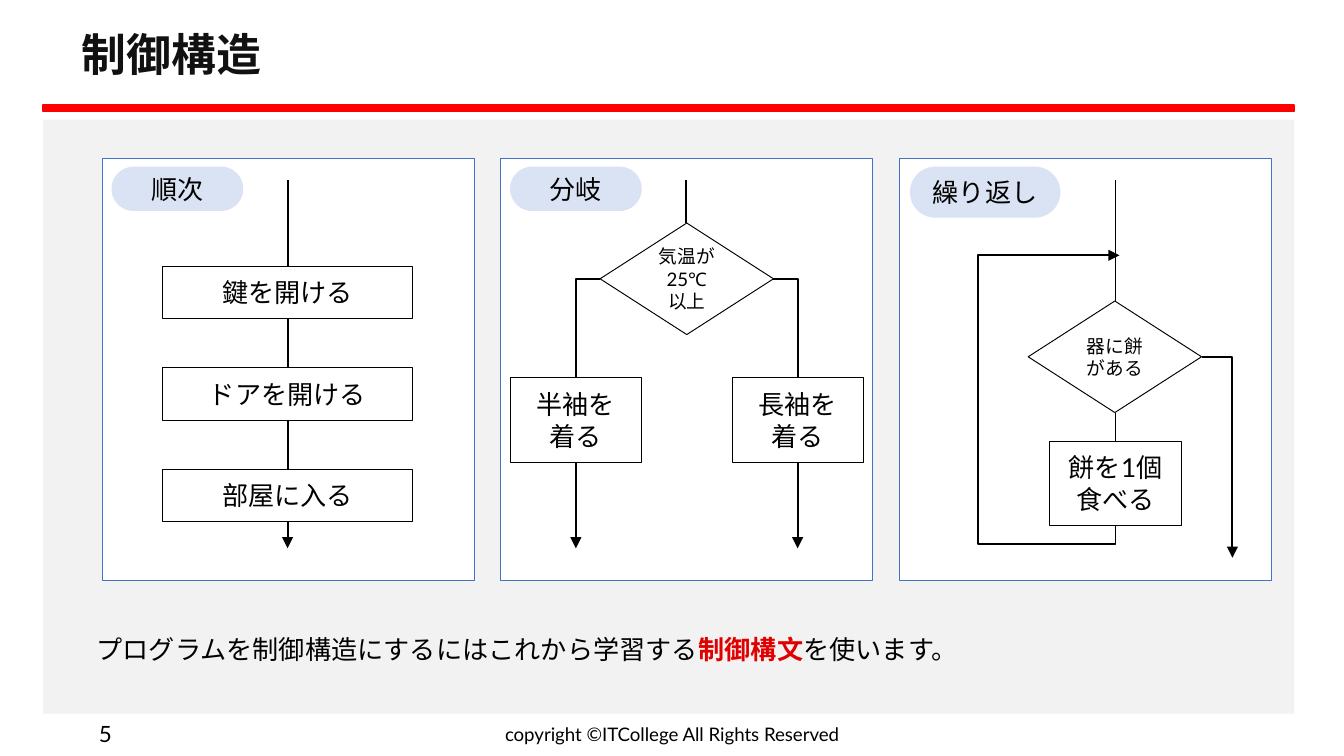
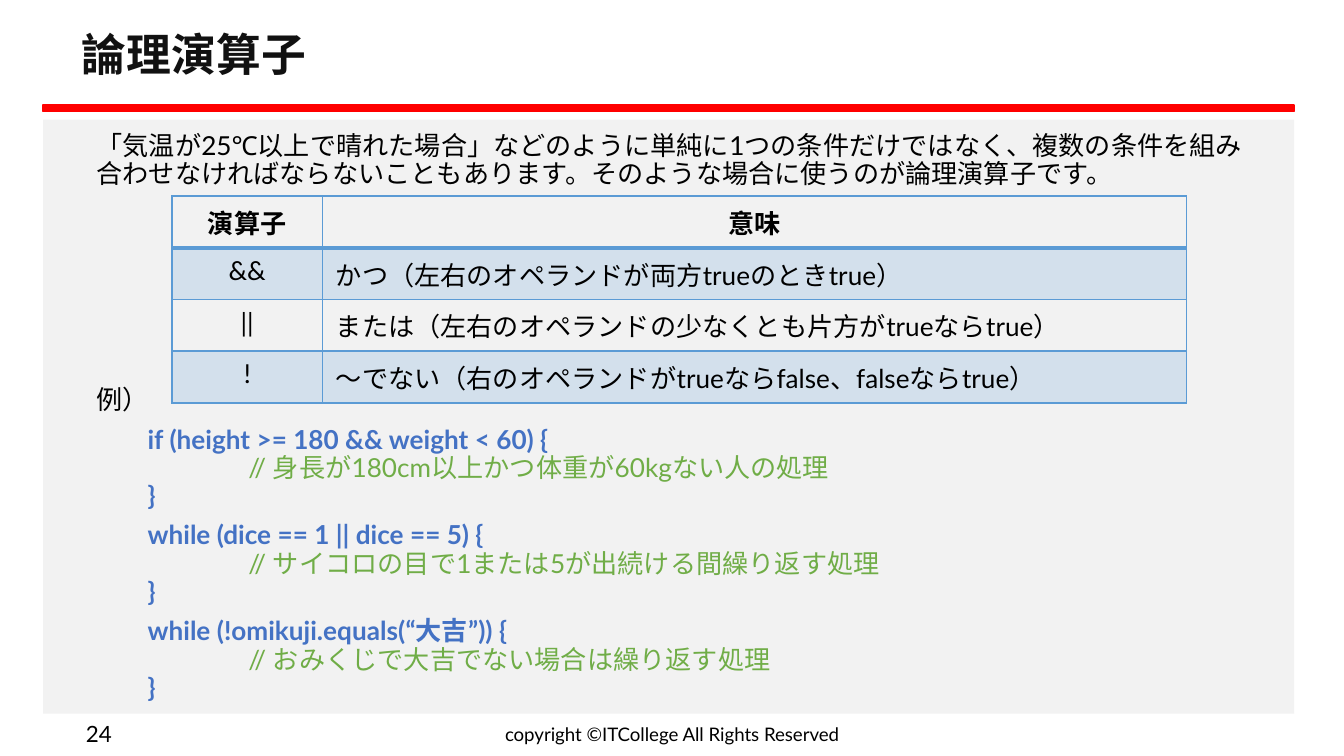
import pptx
import pptx.dml.color
import pptx.enum.shapes
import pptx.enum.text
import pptx.oxml.ns
import pptx.util
from lxml import etree

Inches = pptx.util.Inches
Pt = pptx.util.Pt
RGBColor = pptx.dml.color.RGBColor
SHAPE = pptx.enum.shapes.MSO_SHAPE
CONNECTOR = pptx.enum.shapes.MSO_CONNECTOR
ALIGN = pptx.enum.text.PP_ALIGN
ANCHOR = pptx.enum.text.MSO_ANCHOR
qn = pptx.oxml.ns.qn

FONT = "Lato"
BLACK = RGBColor(0x00, 0x00, 0x00)
WHITE = RGBColor(0xFF, 0xFF, 0xFF)
INK = RGBColor(0x11, 0x11, 0x11)
RED = RGBColor(0xFF, 0x00, 0x00)
ACCENT = RGBColor(0xE1, 0x00, 0x00)
GREY = RGBColor(0xF2, 0xF2, 0xF2)
BLUE = RGBColor(0x44, 0x72, 0xC4)
PALE_BLUE = RGBColor(0xDA, 0xE3, 0xF3)
TABLE_BLUE = RGBColor(0x5B, 0x9B, 0xD5)
GREEN = RGBColor(0x70, 0xAD, 0x47)

TOP, LEFT, RIGHT = 0, 1, 3


def add_text(p, text, size=14, color=BLACK, bold=False, east_asian=True):
    for i, part in enumerate(text.split("\n")):
        if i:
            p.add_line_break()
        if not part:
            continue
        r = p.add_run()
        r.text = part
        r.font.size = Pt(size)
        r.font.bold = bold
        r.font.color.rgb = color
        r.font.name = FONT
        if east_asian:
            etree.SubElement(r.font._element, qn("a:ea"), typeface=FONT)


def add_box(slide, kind, x, y, w, h, fill, line=None, width=0.25):
    sp = slide.shapes.add_shape(kind, Inches(x), Inches(y), Inches(w), Inches(h))
    sp.shadow.inherit = False
    sp.fill.solid()
    sp.fill.fore_color.rgb = fill
    if line is None:
        sp.line.fill.background()
    else:
        sp.line.color.rgb = line
        sp.line.width = Pt(width)
    return sp


def add_label(sp, *lines, size=14):
    tf = sp.text_frame
    tf.word_wrap = True
    tf.vertical_anchor = ANCHOR.MIDDLE
    for i, line in enumerate(lines):
        p = tf.add_paragraph() if i else tf.paragraphs[0]
        p.alignment = ALIGN.CENTER
        add_text(p, line, size)


def add_textbox(slide, x, y, w, h):
    sp = slide.shapes.add_textbox(Inches(x), Inches(y), Inches(w), Inches(h))
    sp.text_frame.word_wrap = True
    return sp.text_frame


def format_paragraph(p, indent, space=0):
    pPr = p._p.get_or_add_pPr()
    pPr.set("marL", str(Inches(indent)))
    pPr.set("indent", "0")
    pPr.set("defTabSz", str(Inches(0.75)))
    p.line_spacing = 0.9
    p.space_before = Pt(space)


def format_line(sp, arrow):
    sp.line.color.rgb = BLACK
    sp.line.width = Pt(1)
    if arrow:
        ln = sp.element.spPr.find(qn("a:ln"))
        etree.SubElement(ln, qn("a:tailEnd"), type="triangle")


def add_link(slide, x1, y1, x2, y2, arrow=False, bent=False):
    kind = CONNECTOR.ELBOW if bent else CONNECTOR.STRAIGHT
    sp = slide.shapes.add_connector(kind, Inches(x1), Inches(y1), Inches(x2), Inches(y2))
    format_line(sp, arrow)
    spPr = sp.element.spPr
    etree.SubElement(spPr, qn("a:effectLst"))
    if bent:
        spPr.find(qn("a:prstGeom")).set("prst", "bentConnector2")
    return sp


def add_process(slide, x, y, w, h, *lines):
    sp = add_box(slide, SHAPE.FLOWCHART_PROCESS, x, y, w, h, WHITE, BLACK)
    add_label(sp, *lines)
    return sp


def add_decision(slide, x, y, text):
    sp = add_box(slide, SHAPE.FLOWCHART_DECISION, x, y, 1.29, 0.83, WHITE, BLACK, 0.5)
    add_label(sp, text, size=10)
    return sp


def add_slide(prs, title, number):
    slide = prs.slides.add_slide(prs.slide_layouts[5])
    add_box(slide, SHAPE.RECTANGLE, 0.32, 0.89, 9.31, 4.42, GREY)
    add_box(slide, SHAPE.RECTANGLE, 0.32, 0.78, 9.31, 0.05, RED, RED, 1)

    sp = slide.shapes.title
    sp.left, sp.top, sp.width, sp.height = Inches(0.51), Inches(0.13), Inches(8.99), Inches(0.59)
    tf = sp.text_frame
    tf.auto_size = pptx.enum.text.MSO_AUTO_SIZE.NONE
    tf.vertical_anchor = ANCHOR.MIDDLE
    tf.margin_left = tf.margin_top = tf.margin_right = tf.margin_bottom = Inches(0.1)
    p = tf.paragraphs[0]
    p.alignment = ALIGN.LEFT
    p.line_spacing = 0.9
    add_text(p, title, 24, INK, True)

    footers = [
        (3.31, 3.38, ALIGN.CENTER, "copyright ©ITCollege All Rights Reserved", 10),
        (0.24, 0.69, ALIGN.RIGHT, str(number), 12),
    ]
    for x, w, align, text, size in footers:
        tf = add_textbox(slide, x, 5.32, w, 0.28)
        tf.vertical_anchor = ANCHOR.MIDDLE
        tf.paragraphs[0].alignment = align
        add_text(tf.paragraphs[0], text, size)
    return slide


def add_panel(slide, x, y, name, dx=0.07, w=0.98, h=0.33):
    add_box(slide, SHAPE.RECTANGLE, x, y, 2.77, 3.14, WHITE, BLUE, 0.5)
    pill = add_box(slide, SHAPE.ROUNDED_RECTANGLE, x + dx, y + 0.06, w, h, PALE_BLUE)
    pill.adjustments[0] = 0.5
    add_label(pill, name)


def sequence_panel(slide, x, y):
    add_panel(slide, x, y, "順次")
    add_link(slide, x + 1.38, y + 0.16, x + 1.38, y + 2.9, arrow=True)
    for i, step in enumerate(["鍵を開ける", "ドアを開ける", "部屋に入る"]):
        add_process(slide, x + 0.45, y + 0.8 + 1.51 * i / 2, 1.86, 0.39, step)


def branch_panel(slide, x, y):
    add_panel(slide, x, y, "分岐")
    add_link(slide, x + 1.38, y + 0.16, x + 1.38, y + 0.48)
    decision = add_decision(slide, x + 0.74, y + 0.48, "気温が25℃\n以上")
    arms = [(0.07, 0.74, LEFT, "半袖を"), (1.72, 2.03, RIGHT, "長袖を")]
    for dx, corner, side, wear in arms:
        process = add_process(slide, x + dx, y + 1.63, 0.98, 0.63, wear, "着る")
        mid = x + dx + 0.49
        arm = add_link(slide, x + corner, y + 0.89, mid, y + 1.63, bent=True)
        arm.begin_connect(decision, side)
        arm.end_connect(process, TOP)
        add_link(slide, mid, y + 2.26, mid, y + 2.9, arrow=True)


def loop_panel(slide, x, y):
    add_panel(slide, x, y, "繰り返し", 0.08, 1.12, 0.38)
    mid = x + 1.61
    decision = add_decision(slide, x + 0.96, y + 1.06, "器に餅がある")
    add_process(slide, x + 1.12, y + 2.1, 0.98, 0.63, "餅を1個食べる")
    add_link(slide, mid, y + 0.16, mid, y + 1.06)
    add_link(slide, mid, y + 1.89, mid, y + 2.1)

    route = [(1.61, 2.73), (1.61, 2.87), (0.59, 2.87), (0.59, 0.72), (1.64, 0.72)]
    points = [(Inches(x + dx), Inches(y + dy)) for dx, dy in route]
    builder = slide.shapes.build_freeform(*points[0])
    builder.add_line_segments(points[1:], close=False)
    back = builder.convert_to_shape()
    back.shadow.inherit = False
    back.fill.background()
    format_line(back, arrow=True)

    leave = add_link(slide, x + 2.25, y + 1.47, x + 2.48, y + 2.97, arrow=True, bent=True)
    leave.begin_connect(decision, RIGHT)


def control_slide(prs):
    slide = add_slide(prs, "制御構造", 5)
    for i, panel in enumerate([sequence_panel, branch_panel, loop_panel]):
        panel(slide, 0.76 + 5.93 * i / 2, 1.18)
    p = add_textbox(slide, 0.51, 4.69, 8.99, 0.35).paragraphs[0]
    format_paragraph(p, 0.11)
    add_text(p, "プログラムを制御構造にするにはこれから学習する")
    add_text(p, "制御構文", color=ACCENT, bold=True)
    add_text(p, "を使います。")


def format_cell(cell, top, bottom, shaded):
    tcPr = cell._tc.get_or_add_tcPr()
    for side, width in [("L", 1), ("R", 1), ("T", top), ("B", bottom)]:
        ln = etree.SubElement(tcPr, qn("a:ln" + side), w=str(Pt(width)))
        fill = etree.SubElement(ln, qn("a:solidFill"))
        etree.SubElement(fill, qn("a:srgbClr"), val=str(TABLE_BLUE))
    if shaded:
        cell.fill.solid()
        cell.fill.fore_color.rgb = TABLE_BLUE
        color = tcPr.find(qn("a:solidFill"))[0]
        etree.SubElement(color, qn("a:alpha"), val="20000")
    else:
        cell.fill.background()


def operator_table(slide, x, y, w, h):
    rows = [
        ("演算子", "意味"),
        ("&&", "かつ（左右のオペランドが両方trueのときtrue）"),
        ("||", "または（左右のオペランドの少なくとも片方がtrueならtrue）"),
        ("!", "～でない（右のオペランドがtrueならfalse、falseならtrue）"),
    ]
    frame = slide.shapes.add_table(len(rows), 2, Inches(x), Inches(y), Inches(w), Inches(h))
    table = frame.table
    table.first_row = False
    table.horz_banding = False
    table.columns[0].width = Inches(1.12)
    table.columns[1].width = Inches(w - 1.12)
    for i, row in enumerate(rows):
        for j, text in enumerate(row):
            cell = table.cell(i, j)
            format_cell(cell, 2 if i == 1 else 1, 2 if i == 0 else 1, i % 2 == 1)
            p = cell.text_frame.paragraphs[0]
            p.alignment = ALIGN.CENTER if i == 0 or j == 0 else ALIGN.LEFT
            add_text(p, text, bold=i == 0, east_asian=False)


def code_examples(slide, x, y, w, h):
    examples = [
        ("if (height >= 180 && weight < 60) {", "身長が180cm以上かつ体重が60kgない人の処理"),
        ("while (dice == 1 || dice == 5) {", "サイコロの目で1または5が出続ける間繰り返す処理"),
        ("while (!omikuji.equals(“大吉”)) {", "おみくじで大吉でない場合は繰り返す処理"),
    ]
    tf = add_textbox(slide, x, y, w, h)
    format_paragraph(tf.paragraphs[0], 0.11)
    add_text(tf.paragraphs[0], "例）")
    for head, comment in examples:
        p = tf.add_paragraph()
        p.level = 1
        format_paragraph(p, 0.49, 6)
        add_text(p, head + "\n\t", color=BLUE, bold=True)
        add_text(p, "// " + comment + "\n", color=GREEN)
        add_text(p, "}", color=BLUE, bold=True)


def operator_slide(prs):
    slide = add_slide(prs, "論理演算子", 24)
    p = add_textbox(slide, 0.51, 0.94, 8.99, 0.59).paragraphs[0]
    format_paragraph(p, 0.11)
    add_text(p, "「気温が25℃以上で晴れた場合」などのように単純に1つの条件だけではなく、"
                "複数の条件を組み合わせなければならないこともあります。"
                "そのような場合に使うのが論理演算子です。")
    operator_table(slide, 1.28, 1.46, 7.55, 1.54)
    code_examples(slide, 0.51, 2.83, 8.99, 2.48)


def main():
    prs = pptx.Presentation()
    prs.slide_width = Inches(10)
    prs.slide_height = Inches(10 * 9 / 16)
    control_slide(prs)
    operator_slide(prs)
    prs.save("out.pptx")


if __name__ == "__main__":
    main()
